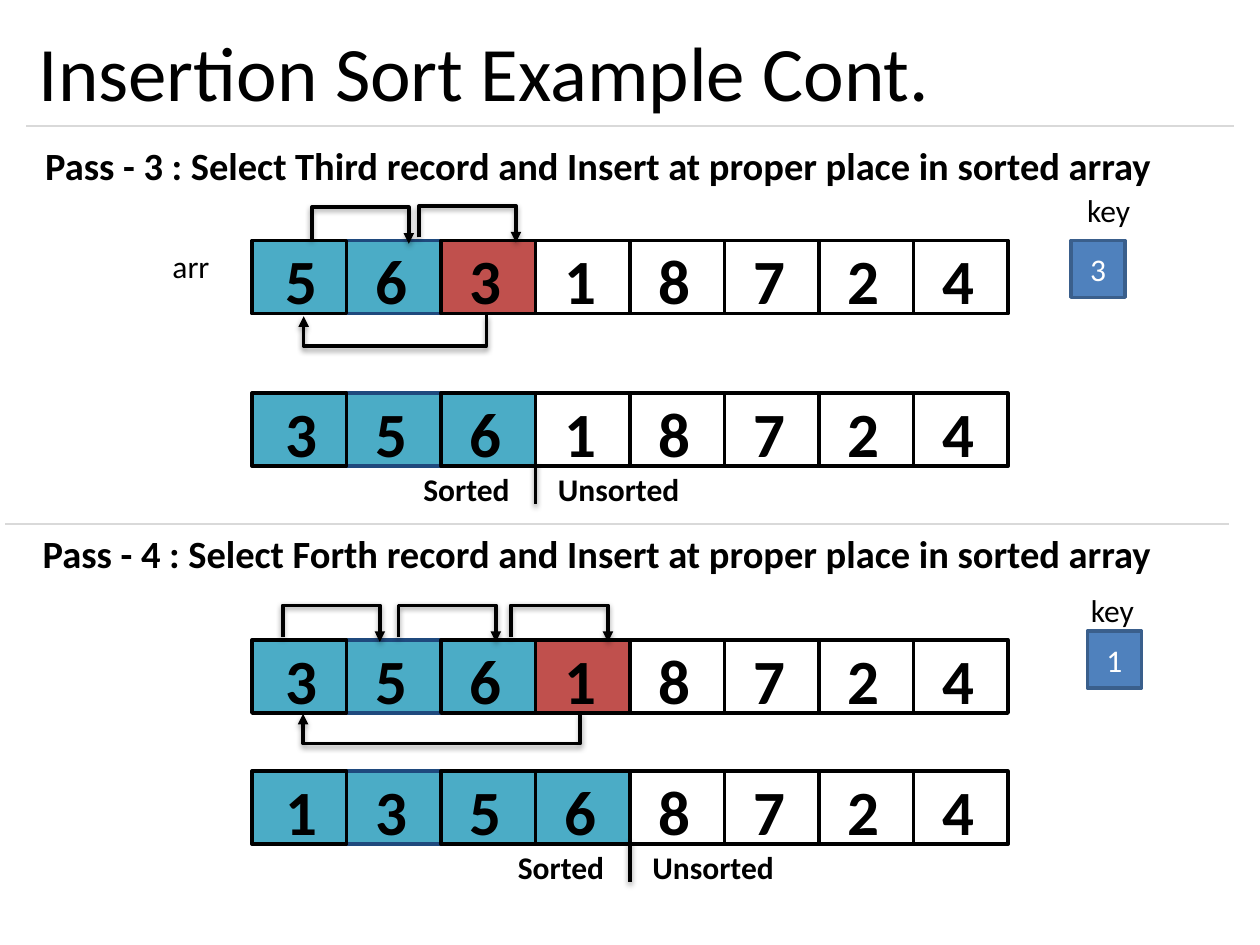
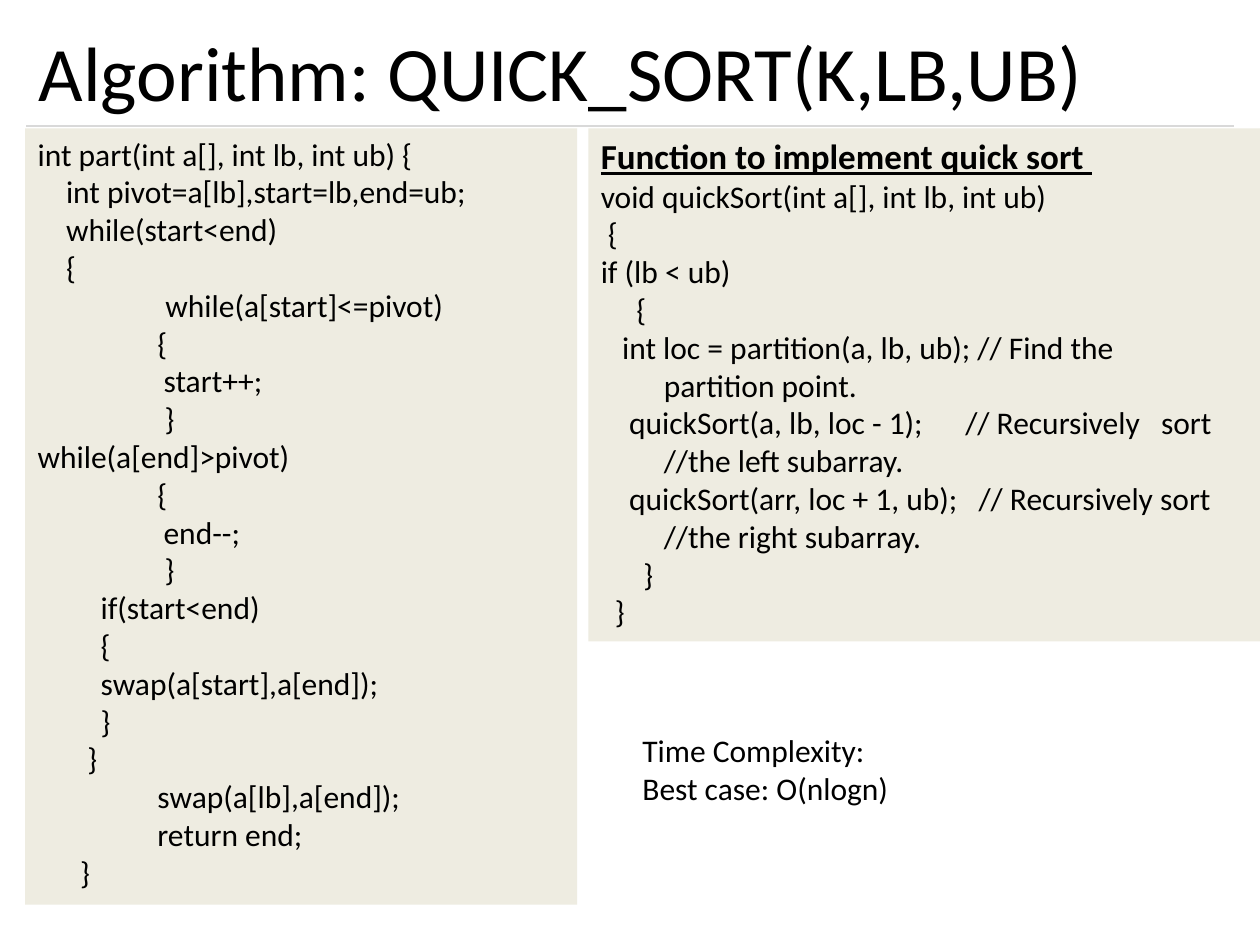
"""Build two sorting slides: insertion sort passes and quick sort code."""
from dataclasses import dataclass

from lxml import etree
from pptx import Presentation
from pptx import util as u
from pptx.dml.color import RGBColor
from pptx.enum import shapes, text
from pptx.oxml import ns

PX = 9144
FONT = "Calibri"
BLACK = RGBColor(0x00, 0x00, 0x00)
WHITE = RGBColor(0xFF, 0xFF, 0xFF)
GREY = RGBColor(0xD9, 0xD9, 0xD9)
TEAL = RGBColor(0x4B, 0xAC, 0xC6)
RED = RGBColor(0xC0, 0x50, 0x4D)
BLUE = RGBColor(0x4F, 0x81, 0xBD)
STEEL = RGBColor(0x3A, 0x5F, 0x8C)
NAVY = RGBColor(0x1F, 0x49, 0x7D)
CREAM = RGBColor(0xEE, 0xEC, 0xE1)

CELL_X, CELL_W, CELL_H = 200, 75, 58
HOOK_SPAN, HOOK_DROP, HOOK_DEPTH = 77, 4, 25


@dataclass(frozen=True)
class Box:
    x: int
    y: int
    w: int
    h: int

    def emu(self) -> tuple[int, ...]:
        return tuple(v * PX for v in (self.x, self.y, self.w, self.h))


@dataclass(frozen=True)
class Style:
    size: int = 18
    bold: bool = False
    color: RGBColor = BLACK
    align: text.PP_ALIGN = text.PP_ALIGN.LEFT


@dataclass(frozen=True)
class Pass:
    head: str
    head_box: Box
    before: str
    after: str
    count: int
    top: int
    low: int
    hooks: tuple[tuple[int, int], ...]
    back_y: int
    key_tag: Box
    key_box: Box


TITLE = Style(44)
HEAD = Style(22, True)
DIGIT = Style(36, True)
BODY = Style()
LABEL = Style(18, True)
RIGHT = Style(18, True, align=text.PP_ALIGN.RIGHT)
KEY = Style(color=WHITE, align=text.PP_ALIGN.CENTER)

PASSES = (
    Pass("Pass - 3 : Select Third record and Insert at proper place in sorted array",
         Box(26, 108, 915, 47), "56318724", "35618724", 2, 191, 312,
         ((333, 189), (248, 190)), 250, Box(853, 147, 55, 40), Box(850, 191, 43, 45)),
    Pass("Pass - 4 : Select Forth record and Insert at proper place in sorted array",
         Box(24, 416, 917, 47), "35618724", "13568724", 3, 508, 612,
         ((406, 506), (317, 506), (225, 506)), 566, Box(856, 464, 55, 40), Box(863, 501, 43, 45)),
)

PART_CODE = (
    "int part(int a[], int lb, int ub) {",
    "    int pivot=a[lb],start=lb,end=ub;",
    "    while(start<end)",
    "    {",
    "                  while(a[start]<=pivot)",
    "    \t        {",
    "\t     \tstart++;",
    "\t         }\vwhile(a[end]>pivot)",
    "\t        {",
    "\t\tend--;",
    "\t         }",
    "\tif(start<end)",
    "\t{",
    "    \tswap(a[start],a[end]);",
    "    \t}",
    "       }",
    "\t        swap(a[lb],a[end]);",
    "\t        return end;",
    "      }",
)

SORT_CODE = (
    "Function to implement quick sort ",
    "void quickSort(int a[], int lb, int ub)",
    " {",
    "if (lb < ub)",
    "     {",
    "   int loc = partition(a, lb, ub); // Find the\v\tpartition point.",
    "    quickSort(a, lb, loc - 1);      // Recursively   sort\v\t//the left subarray.",
    "    quickSort(arr, loc + 1, ub);   // Recursively sort\v\t//the right subarray.",
    "      }",
    "  }",
)


def write(frame, words: str, style: Style) -> None:
    """Fill a text frame and format each run."""
    frame.text = words
    for para in frame.paragraphs:
        para.alignment = style.align
        for run in para.runs:
            run.font.name = FONT
            run.font.size = u.Pt(style.size)
            run.font.bold = style.bold
            run.font.color.rgb = style.color


def add_text(slide, box: Box, words: str, style: Style, wrap: bool = False):
    """Add a text box that fits its words."""
    frame = slide.shapes.add_textbox(*box.emu()).text_frame
    frame.word_wrap = wrap
    frame.auto_size = text.MSO_AUTO_SIZE.SHAPE_TO_FIT_TEXT
    write(frame, words, style)
    return frame


def add_rect(slide, box: Box, fill: RGBColor, edge: RGBColor | None = None):
    """Add a flat rectangle with an optional edge."""
    rect = slide.shapes.add_shape(shapes.MSO_SHAPE.RECTANGLE, *box.emu())
    rect.shadow.inherit = False
    rect.fill.solid()
    rect.fill.fore_color.rgb = fill
    if edge is None:
        rect.line.fill.background()
    else:
        rect.line.color.rgb = edge
        rect.line.width = u.Pt(2)
    return rect


def add_line(slide, ends: tuple[int, int, int, int], color: RGBColor, width: float,
             shade: bool = False, kind=shapes.MSO_CONNECTOR.STRAIGHT):
    """Add a connector, with a soft shadow if asked."""
    line = slide.shapes.add_connector(kind, *(v * PX for v in ends))
    line.line.color.rgb = color
    line.line.width = u.Pt(width)
    effects = etree.SubElement(line._element.spPr, ns.qn("a:effectLst"))
    if shade:
        cast = etree.SubElement(effects, ns.qn("a:outerShdw"), blurRad="40000",
                                dist="20000", dir="5400000", rotWithShape="0")
        tint = etree.SubElement(cast, ns.qn("a:srgbClr"), val=str(BLACK))
        etree.SubElement(tint, ns.qn("a:alpha"), val="38000")
    return line


def add_hook(slide, x: int, y: int, span: int, drop: int, above: bool) -> None:
    """Add a U-shaped arrow whose left end is x, above or below a row."""
    left, top = x + (span - drop) // 2, y + (drop - span) // 2
    hook = add_line(slide, (left, top, left + drop, top + span), BLACK, 2, True,
                    shapes.MSO_CONNECTOR.ELBOW)
    props = hook._element.spPr
    frame = props.find(ns.qn("a:xfrm"))
    frame.set("rot", "16200000" if above else "5400000")
    if above:
        frame.set("flipH", "1")
    bend = (-HOOK_DEPTH if above else HOOK_DEPTH) * 100000 // drop
    guides = props.find(ns.qn("a:prstGeom")).get_or_add_avLst()
    etree.SubElement(guides, ns.qn("a:gd"), name="adj1", fmla=f"val {bend}")
    etree.SubElement(props.find(ns.qn("a:ln")), ns.qn("a:tailEnd"), type="triangle")


def add_row(slide, y: int, digits: str, count: int, hot: int | None = None) -> None:
    """Draw an array whose first cells are sorted and one may be hot."""
    for i in (1, 0, *range(2, len(digits))):
        fill = RED if i == hot else TEAL if i < count else WHITE
        x = CELL_X + i * CELL_W
        add_rect(slide, Box(x, y, CELL_W, CELL_H), fill, NAVY if i == 1 else BLACK)
    for i, digit in enumerate(digits):
        x = CELL_X + i * CELL_W + (13 if i else 17)
        add_text(slide, Box(x, y - 4, 46, 71), digit, DIGIT)


def add_pass(slide, step: Pass) -> None:
    """Draw one pass: heading, both arrays, arrows, labels and key."""
    add_text(slide, step.head_box, step.head, HEAD)
    add_row(slide, step.top, step.before, step.count, step.count)
    for x, y in step.hooks:
        add_hook(slide, x, y, HOOK_SPAN, HOOK_DROP, True)
    start = CELL_X + step.count * CELL_W + 36
    add_hook(slide, 241, step.back_y, start - 241, 1, False)
    add_row(slide, step.low, step.after, step.count + 1)
    split = CELL_X + (step.count + 1) * CELL_W
    add_line(slide, (split, step.low + 55, split, step.low + 88), BLACK, 2, True)
    add_text(slide, Box(split - 100, step.low + 56, 95, 40), "Sorted ", RIGHT)
    add_text(slide, Box(split + 8, step.low + 56, 123, 40), "Unsorted", LABEL)
    add_text(slide, step.key_tag, "key", BODY)
    frame = add_rect(slide, step.key_box, BLUE, STEEL).text_frame
    frame.vertical_anchor = text.MSO_ANCHOR.MIDDLE
    write(frame, step.before[step.count], KEY)


def add_code(slide, box: Box, lines: tuple[str, ...]):
    """Add a cream panel of code."""
    frame = add_rect(slide, box, CREAM).text_frame
    frame.word_wrap = True
    frame.vertical_anchor = text.MSO_ANCHOR.TOP
    write(frame, "\n".join(lines), BODY)
    return frame


def add_slide(deck, title: str):
    """Add a blank slide with its rule and title."""
    slide = deck.slides.add_slide(deck.slide_layouts[6])
    add_line(slide, (21, 100, 979, 100), GREY, 0.75)
    frame = add_text(slide, Box(21, 12, 958, 88), title, TITLE, True)
    frame.auto_size = text.MSO_AUTO_SIZE.NONE
    frame.vertical_anchor = text.MSO_ANCHOR.MIDDLE
    return slide


def main() -> None:
    """Build and save the deck."""
    deck = Presentation()
    deck.slide_width, deck.slide_height = 1000 * PX, 750 * PX

    slide = add_slide(deck, "Insertion Sort Example Cont.")
    for step in PASSES:
        add_pass(slide, step)
    add_line(slide, (4, 416, 975, 416), GREY, 0.75)
    add_text(slide, Box(127, 191, 52, 40), "arr", BODY, True)

    slide = add_slide(deck, "Algorithm: QUICK_SORT(K,LB,UB)")
    add_code(slide, Box(20, 102, 438, 616), PART_CODE)
    head = add_code(slide, Box(467, 102, 533, 407), SORT_CODE).paragraphs[0].runs[0].font
    head.size, head.bold, head.underline = u.Pt(20), True, True
    add_text(slide, Box(500, 575, 268, 71), "Time Complexity:\nBest case: O(nlogn)", BODY, True)

    deck.save("out.pptx")


if __name__ == "__main__":
    main()
